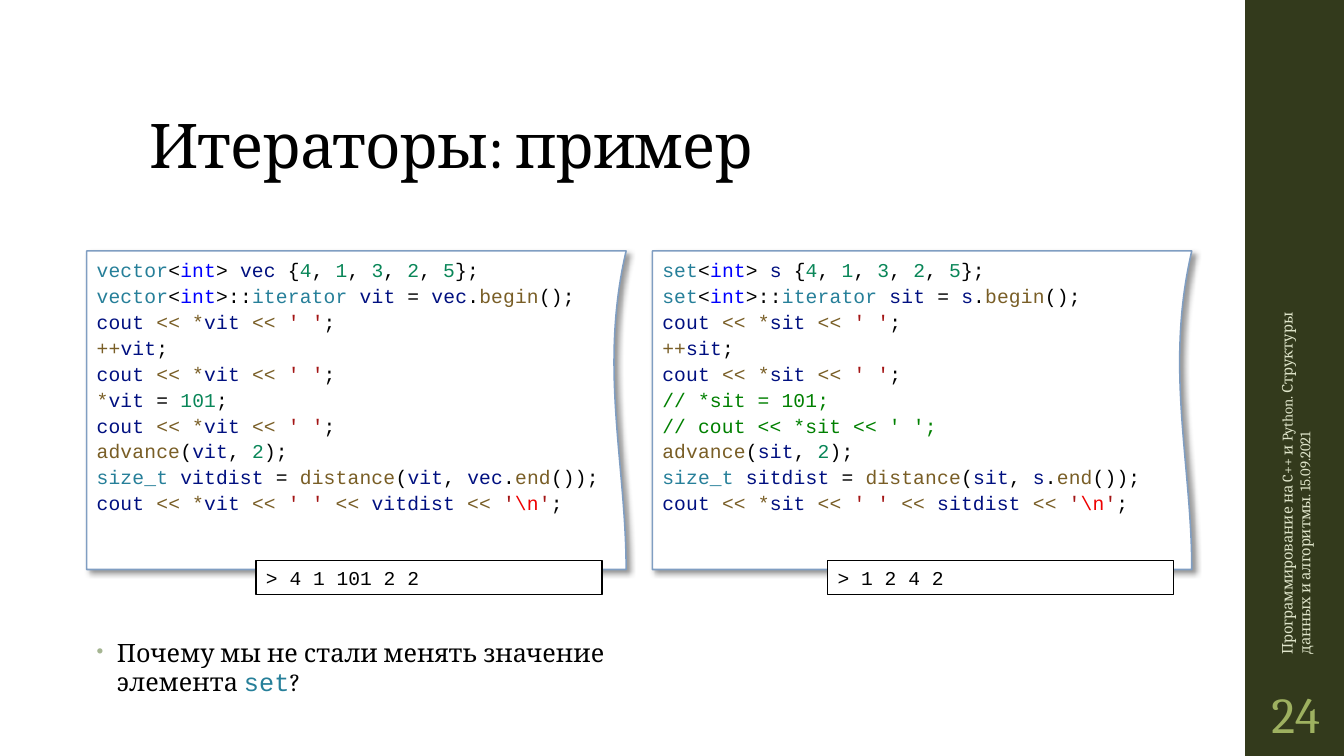
from dataclasses import dataclass
from itertools import groupby

from lxml.etree import SubElement
from pptx import Presentation
from pptx.dml.color import RGBColor
from pptx.enum.shapes import MSO_SHAPE
from pptx.enum.text import MSO_ANCHOR, PP_ALIGN
from pptx.oxml.ns import qn
from pptx.util import Inches, Pt

SERIF, MONO = "Cambria", "Courier New"
BLACK, WHITE, OLIVE = "000000", "FFFFFF", "333A1C"
TYPE, KEYWORD, VARIABLE, NUMBER = "267F99", "0000FF", "001080", "098658"
FUNCTION, STRING, ESCAPE, COMMENT = "795E26", "A31515", "EE0000", "008000"

TOKEN_COLORS = {
    **dict.fromkeys(["vector", "set", "iterator", "size_t"], TYPE),
    **dict.fromkeys(["advance", "distance", "begin", "end", "<<", "*", "++"], FUNCTION),
    "int": KEYWORD, "'": STRING, "\\": ESCAPE, "n": ESCAPE,
}

PAGE_TOP, PAGE_WIDTH, PAGE_HEIGHT = 2.49, 5.35, 3.16


@dataclass(frozen=True)
class Span:
    text: str
    color: str = BLACK
    font: str = SERIF


@dataclass(frozen=True)
class Box:
    left: float
    top: float
    width: float
    height: float

    def lengths(self):
        return [Inches(v) for v in (self.left, self.top, self.width, self.height)]


@dataclass(frozen=True)
class Example:
    left: float
    output_left: float
    container: str
    variable: str
    iterator: str
    change: tuple[str, str]
    output: str

    def code(self) -> list[str]:
        show = f"cout << *{self.iterator} << ' '"
        distance = f"{self.iterator}dist"
        return [
            f"{self.container}<int> {self.variable} {{4, 1, 3, 2, 5}};",
            f"{self.container}<int>::iterator {self.iterator} = {self.variable}.begin();",
            f"{show};",
            f"++{self.iterator};",
            f"{show};",
            *self.change,
            f"advance({self.iterator}, 2);",
            f"size_t {distance} = distance({self.iterator}, {self.variable}.end());",
            f"{show} << {distance} << '\\n';",
        ]


EXAMPLES = [
    Example(0.86, 2.54, "vector", "vec", "vit",
            ("*vit = 101;", "cout << *vit << ' ';"), "> 4 1 101 2 2"),
    Example(6.47, 8.21, "set", "s", "sit",
            ("// *sit = 101;", "// cout << *sit << ' ';"), "> 1 2 4 2"),
]


def rgb(color: str) -> RGBColor:
    return RGBColor.from_string(color)


def token_kind(char: str) -> str:
    if char.isalnum() or char == "_":
        return "word"
    return char if char in " '\\" else "symbol"


def highlight(line: str) -> list[Span]:
    """Split a line of C++ into coloured spans."""
    if line.startswith("//"):
        return [Span(line, COMMENT, MONO)]
    spans = []
    for kind, chars in groupby(line, token_kind):
        token = "".join(chars)
        default = BLACK
        if kind == "word":
            default = NUMBER if token.isdigit() else VARIABLE
        spans.append(Span(token, TOKEN_COLORS.get(token, default), MONO))
    return spans


def write(paragraph, spans: list[Span], size: float, tracking: float = 0) -> None:
    for span in spans:
        run = paragraph.add_run()
        run.text = span.text
        run.font.size = Pt(size)
        run.font.name = span.font
        run.font.color.rgb = rgb(span.color)
        if tracking:
            run.font._element.set("spc", str(round(tracking * 100)))


def paint(shape, fill: str, line: str | None = None) -> None:
    shape.shadow.inherit = False
    shape.fill.solid()
    shape.fill.fore_color.rgb = rgb(fill)
    if line:
        shape.line.color.rgb = rgb(line)
        shape.line.width = Pt(1.1)
    else:
        shape.line.fill.background()


def add_text(slide, box: Box, spans: list[Span], size: float, tracking: float = 0,
             anchor: MSO_ANCHOR = MSO_ANCHOR.TOP):
    label = slide.shapes.add_textbox(*box.lengths())
    label.text_frame.word_wrap = True
    label.text_frame.vertical_anchor = anchor
    write(label.text_frame.paragraphs[0], spans, size, tracking)
    return label


def add_rect(slide, box: Box, fill: str, line: str | None = None):
    rect = slide.shapes.add_shape(MSO_SHAPE.RECTANGLE, *box.lengths())
    paint(rect, fill, line)
    return rect


def add_page(slide, left: float):
    """Draw a sheet whose right edge is a wavy curve."""
    right, bottom = left + PAGE_WIDTH, PAGE_TOP + PAGE_HEIGHT
    builder = slide.shapes.build_freeform(Inches(left), Inches(PAGE_TOP))
    corners = [(right, PAGE_TOP), (right, bottom), (left, bottom)]
    builder.add_line_segments([(Inches(x), Inches(y)) for x, y in corners])
    page = builder.convert_to_shape()
    paint(page, WHITE, "809EC2")

    right_edge = page._element.findall(".//" + qn("a:lnTo"))[1]
    right_edge.tag = qn("a:cubicBezTo")
    end = right_edge[0]
    for x, y in [(PAGE_WIDTH - 0.27, 1.16), (PAGE_WIDTH, 2.11)]:
        control = SubElement(right_edge, qn("a:pt"), x=str(Inches(x)), y=str(Inches(y)))
        end.addprevious(control)

    effects = page._element.spPr.find(qn("a:effectLst"))
    shadow = SubElement(effects, qn("a:outerShdw"), blurRad=str(Pt(4)), dist=str(Pt(3)),
                        dir=str(45 * 60000), algn="tl", rotWithShape="0")
    shade = SubElement(shadow, qn("a:srgbClr"), val=BLACK)
    SubElement(shade, qn("a:alpha"), val="40000")
    return page


def add_example(slide, example: Example) -> None:
    frame = add_page(slide, example.left).text_frame
    frame.word_wrap = True
    frame.vertical_anchor = MSO_ANCHOR.TOP
    for index, line in enumerate(example.code()):
        paragraph = frame.add_paragraph() if index else frame.paragraphs[0]
        paragraph.alignment = PP_ALIGN.LEFT
        paragraph.line_spacing = 1.1
        write(paragraph, highlight(line), 14, 0.1)


def add_output(slide, example: Example) -> None:
    output = add_rect(slide, Box(example.output_left, 5.56, 3.43, 0.34), WHITE, BLACK)
    paragraph = output.text_frame.paragraphs[0]
    paragraph.alignment = PP_ALIGN.LEFT
    write(paragraph, [Span(example.output, BLACK, MONO)], 14)


def add_question(slide) -> None:
    spans = [Span("Почему мы не стали менять значение элемента "),
             Span("set", TYPE, MONO), Span("?")]
    question = add_text(slide, Box(0.86, 6.3, 5.52, 0.98), spans, 18, 0.1)
    paragraph = question.text_frame.paragraphs[0]
    paragraph.line_spacing = 0.95
    paragraph.space_before, paragraph.space_after = Pt(14), Pt(2)
    properties = paragraph._p.get_or_add_pPr()
    properties.set("marL", str(Inches(0.2)))
    properties.set("indent", str(-Inches(0.2)))
    bullet_color = SubElement(properties, qn("a:buClr"))
    SubElement(bullet_color, qn("a:srgbClr"), val="A5B592")
    SubElement(properties, qn("a:buSzPct"), val="80000")
    SubElement(properties, qn("a:buChar"), char="•")


def add_sidebar(slide) -> None:
    add_rect(slide, Box(12.35, 0, 1, 7.5), OLIVE)
    course = "Программирование на C++ и Python. Структуры данных и алгоритмы. 15.09.2021"
    footer = add_text(slide, Box(10.89, 4.43, 3.92, 0.4), [Span(course, "DFE5CA")], 10.5,
                      anchor=MSO_ANCHOR.MIDDLE)
    footer.rotation = 270
    number = add_text(slide, Box(12.35, 6.75, 1, 0.65), [Span("24", "9EB160")], 36,
                      anchor=MSO_ANCHOR.MIDDLE)
    number.text_frame.margin_left = number.text_frame.margin_right = Inches(0.05)
    number.text_frame.paragraphs[0].alignment = PP_ALIGN.CENTER


def main() -> None:
    deck = Presentation()
    deck.slide_width, deck.slide_height = Inches(13.33), Inches(7.5)
    slide = deck.slides.add_slide(deck.slide_layouts[6])
    add_sidebar(slide)
    title = add_text(slide, Box(1.38, 0.4, 10.6, 1.45), [Span("Итераторы: пример")], 44,
                     -0.5, MSO_ANCHOR.BOTTOM)
    title.text_frame.paragraphs[0].line_spacing = 0.9
    for example in EXAMPLES:
        add_example(slide, example)
    for example in EXAMPLES:
        add_output(slide, example)
    add_question(slide)
    deck.save("out.pptx")


if __name__ == "__main__":
    main()
